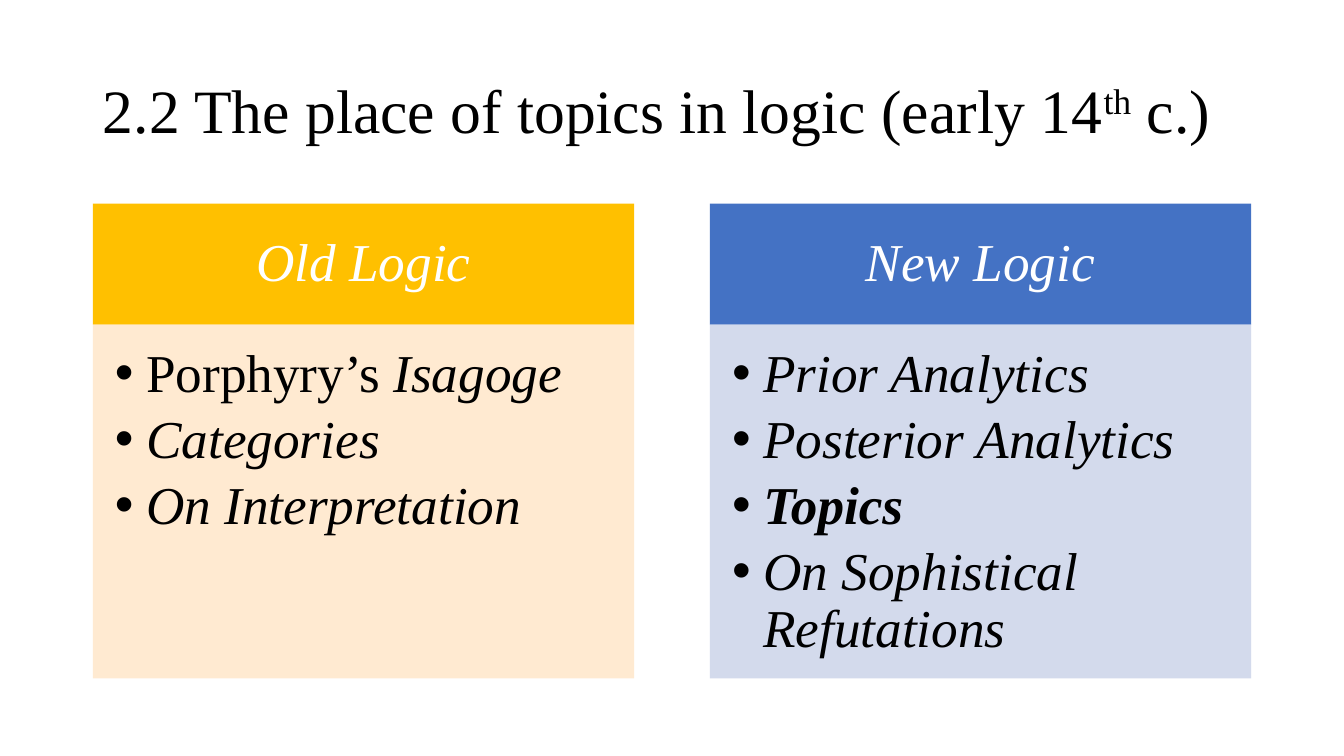
import pptx
import pptx.dml.color
import pptx.enum.text
import pptx.oxml
import pptx.oxml.ns
import pptx.util
from pptx.util import Inches

RGBColor = pptx.dml.color.RGBColor
Align = pptx.enum.text.PP_ALIGN
Anchor = pptx.enum.text.MSO_ANCHOR

BLACK = RGBColor(0x00, 0x00, 0x00)
WHITE = RGBColor(0xFF, 0xFF, 0xFF)
GOLD = RGBColor(0xFF, 0xC0, 0x00)
CREAM = RGBColor(0xFF, 0xE8, 0xCC)
BLUE = RGBColor(0x44, 0x72, 0xC4)
PALE_BLUE = RGBColor(0xCF, 0xD6, 0xEA)

FONT = "Times New Roman"
LEFT, TOP = 0.92, 2.02
COLUMN_WIDTH, COLUMN_STEP = 5.37, 6.12
HEADING_HEIGHT, LIST_HEIGHT = 1.2, 3.51
INDENT = Inches(0.31)

COLUMNS = [
    ("Old Logic", GOLD, CREAM, [
        [("Porphyry’s ", {}), ("Isagoge", {"italic": True})],
        [("Categories", {"italic": True})],
        [("On Interpretation", {"italic": True})],
    ]),
    ("New Logic", BLUE, PALE_BLUE, [
        [("Prior Analytics", {"italic": True})],
        [("Posterior Analytics", {"italic": True})],
        [("Topics", {"italic": True, "bold": True})],
        [("On Sophistical Refutations", {"italic": True})],
    ]),
]


def add_span(para, text, size=38, color=BLACK, bold=False, italic=False, baseline=0):
    """Append a formatted run of text to a paragraph."""
    span = para.add_run()
    span.text = text
    font = span.font
    font.name = FONT
    font.size = pptx.util.Pt(size)
    font.color.rgb = color
    font.bold = bold
    font.italic = italic
    if baseline:
        span._r.get_or_add_rPr().set("baseline", str(baseline * 1000))


def format_para(para, align=Align.LEFT, after=0):
    """Set the alignment and spacing of a paragraph."""
    para.alignment = align
    para.line_spacing = 0.9
    para.space_before = pptx.util.Pt(0)
    para.space_after = pptx.util.Pt(after)


def add_bullet(para):
    """Give a paragraph a round bullet with a hanging indent."""
    properties = para._p.get_or_add_pPr()
    properties.set("marL", str(INDENT))
    properties.set("indent", str(-INDENT))
    bullet = pptx.oxml.parse_xml(
        f'<a:buChar {pptx.oxml.ns.nsdecls("a")} char="•"/>')
    properties.append(bullet)


def place(box, left, top, width, height, anchor, insets=(0.1, 0.05, 0.1, 0.05)):
    """Move a placeholder and return its prepared text frame."""
    box.left, box.top = Inches(left), Inches(top)
    box.width, box.height = Inches(width), Inches(height)
    frame = box.text_frame
    frame.word_wrap = True
    frame.auto_size = pptx.enum.text.MSO_AUTO_SIZE.NONE
    frame.vertical_anchor = anchor
    (frame.margin_left, frame.margin_top,
     frame.margin_right, frame.margin_bottom) = map(Inches, insets)
    return frame


def fill_box(box, color, opacity=100):
    """Fill a box with a colour, partly transparent if asked."""
    box.fill.solid()
    box.fill.fore_color.rgb = color
    if opacity < 100:
        shade = box._element.spPr.find(".//" + pptx.oxml.ns.qn("a:srgbClr"))
        shade.append(pptx.oxml.parse_xml(
            f'<a:alpha {pptx.oxml.ns.nsdecls("a")} val="{opacity * 1000}"/>'))


def build_title(box, left, top, width, height):
    """Write the slide title with its raised ordinal."""
    para = place(box, left, top, width, height, Anchor.MIDDLE).paragraphs[0]
    format_para(para)
    add_span(para, "2.2 The place of topics in logic (early 14", size=44)
    add_span(para, "th", size=44, baseline=30)
    add_span(para, " c.)", size=44)


def build_column(heading_box, list_box, left, top, column):
    """Build a coloured heading above its list of works."""
    heading, strong, pale, works = column
    frame = place(heading_box, left, top, COLUMN_WIDTH, HEADING_HEIGHT,
                  Anchor.MIDDLE, (0.3, 0.17, 0.3, 0.17))
    fill_box(heading_box, strong)
    format_para(frame.paragraphs[0], Align.CENTER)
    add_span(frame.paragraphs[0], heading, color=WHITE, italic=True)

    frame = place(list_box, left, top + HEADING_HEIGHT, COLUMN_WIDTH, LIST_HEIGHT,
                  Anchor.TOP, (0.22, 0.22, 0.3, 0.33))
    fill_box(list_box, pale, opacity=90)
    for number, work in enumerate(works):
        para = frame.add_paragraph() if number else frame.paragraphs[0]
        format_para(para, after=6)
        add_bullet(para)
        for text, style in work:
            add_span(para, text, **style)


def main():
    """Build the deck and save it."""
    deck = pptx.Presentation()
    deck.slide_width, deck.slide_height = Inches(13.33), Inches(7.5)
    page = deck.slides.add_slide(deck.slide_layouts.get_by_name("Comparison"))
    build_title(page.shapes.title, LEFT, 0.4, 11.5, 1.45)
    for number, column in enumerate(COLUMNS):
        heading_box = page.placeholders[1 + 2 * number]
        list_box = page.placeholders[2 + 2 * number]
        build_column(heading_box, list_box, LEFT + number * COLUMN_STEP, TOP, column)
    deck.save("out.pptx")


if __name__ == "__main__":
    main()
